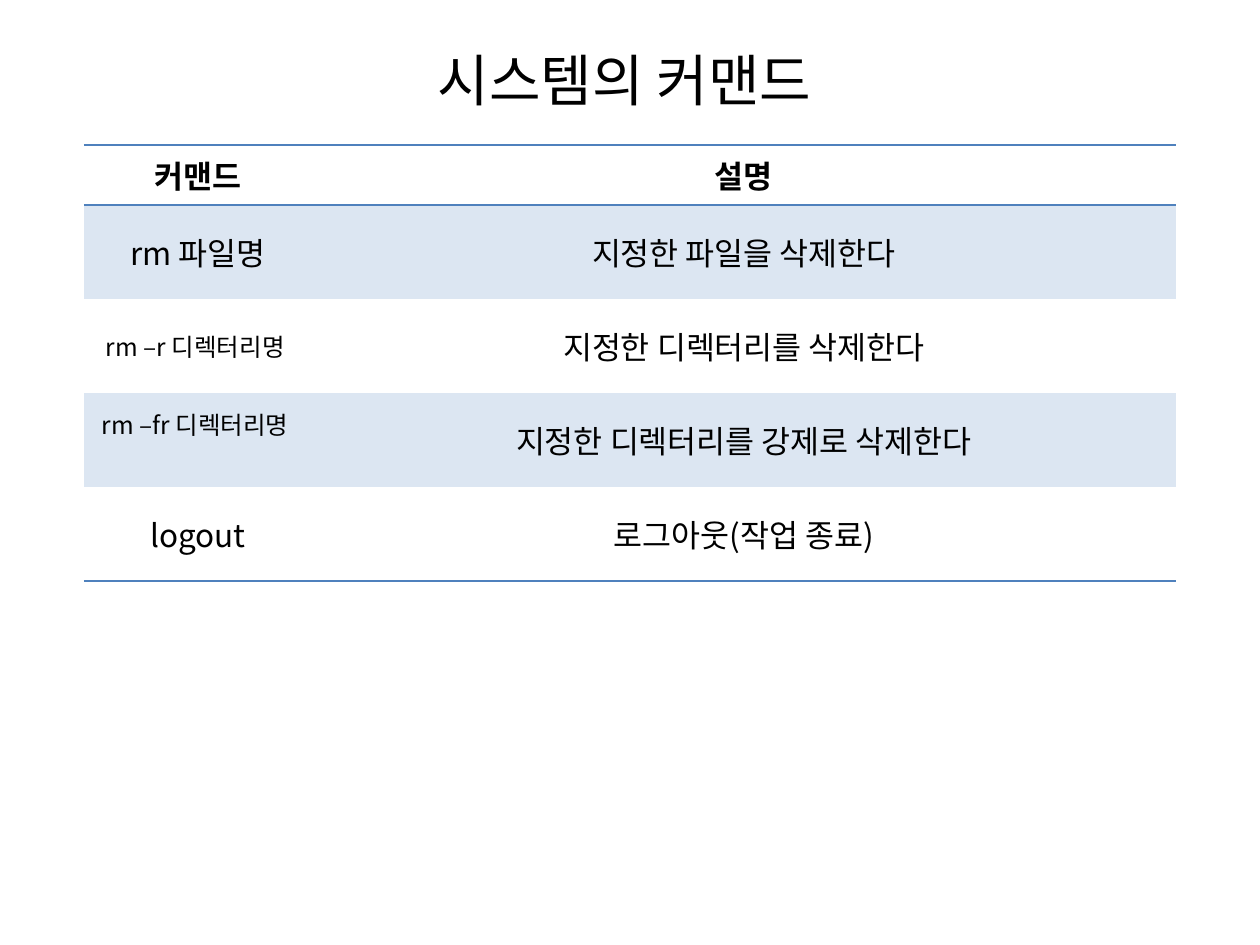
from lxml import etree
from pptx import Presentation
from pptx.dml.color import RGBColor
from pptx.enum import text
from pptx.oxml import ns
from pptx.util import Pt

PX = 914400 // 126
FONT = "Noto Sans CJK KR"
BLUE, BAND, BLACK = "4F81BD", "DCE6F2", "000000"
NO_STYLE = "{2D5ABB26-0587-4C30-8999-92F81FD0307C}"


def write(frame, words, size, bold=False):
    frame.text = words
    frame.vertical_anchor = text.MSO_ANCHOR.MIDDLE
    para = frame.paragraphs[0]
    para.alignment = text.PP_ALIGN.CENTER
    font = para.runs[0].font
    font.name, font.size, font.bold = FONT, Pt(size), bold
    font.color.rgb = RGBColor.from_string(BLACK)
    east_asian = etree.SubElement(para.runs[0]._r.get_or_add_rPr(), ns.qn("a:ea"))
    east_asian.set("typeface", FONT)


def add_border(cell, side):
    line = etree.SubElement(cell._tc.get_or_add_tcPr(), ns.qn("a:ln" + side))
    line.set("w", str(Pt(1)))
    fill = etree.SubElement(line, ns.qn("a:solidFill"))
    etree.SubElement(fill, ns.qn("a:srgbClr")).set("val", BLUE)


deck = Presentation()
deck.slide_width, deck.slide_height = 1260 * PX, 945 * PX
page = deck.slides.add_slide(deck.slide_layouts[5])

# Title
title = page.shapes.title
title.left, title.top, title.width, title.height = 64 * PX, 0, 1134 * PX, 158 * PX
write(title.text_frame, "시스템의 커맨드 ", 32)

# Command table: words and size of the command, then its description
rows = [
    ("커맨드", 18, "설명"),
    ("rm 파일명", 18, "지정한 파일을 삭제한다"),
    ("rm –r 디렉터리명 ", 14, "지정한 디렉터리를 삭제한다"),
    ("rm –fr 디렉터리명 ", 14, "지정한 디렉터리를 강제로 삭제한다"),
    ("logout", 18, "로그아웃(작업 종료)"),
]
header_height, row_height = 60, 94
table_height = header_height + row_height * (len(rows) - 1)
table = page.shapes.add_table(
    len(rows), 2, 84 * PX, 145 * PX, 1092 * PX, table_height * PX).table
table.first_row = table.horz_banding = False
table._tbl.tblPr.find(ns.qn("a:tableStyleId")).text = NO_STYLE
for column, width in zip(table.columns, (228, 864)):
    column.width = width * PX

for index, (command, size, description) in enumerate(rows):
    is_header = index == 0
    table.rows[index].height = (header_height if is_header else row_height) * PX
    for column, (words, points) in enumerate([(command, size), (description, 18)]):
        cell = table.cell(index, column)
        write(cell.text_frame, words, points, is_header)
        cell.vertical_anchor = text.MSO_ANCHOR.MIDDLE
        if is_header:
            add_border(cell, "T")
        if is_header or index == len(rows) - 1:
            add_border(cell, "B")
        if index % 2:
            cell.fill.solid()
            cell.fill.fore_color.rgb = RGBColor.from_string(BAND)
        else:
            cell.fill.background()

# The forced removal command sits above the middle of its row
table.cell(3, 0).margin_bottom = 38 * PX

deck.save("out.pptx")
